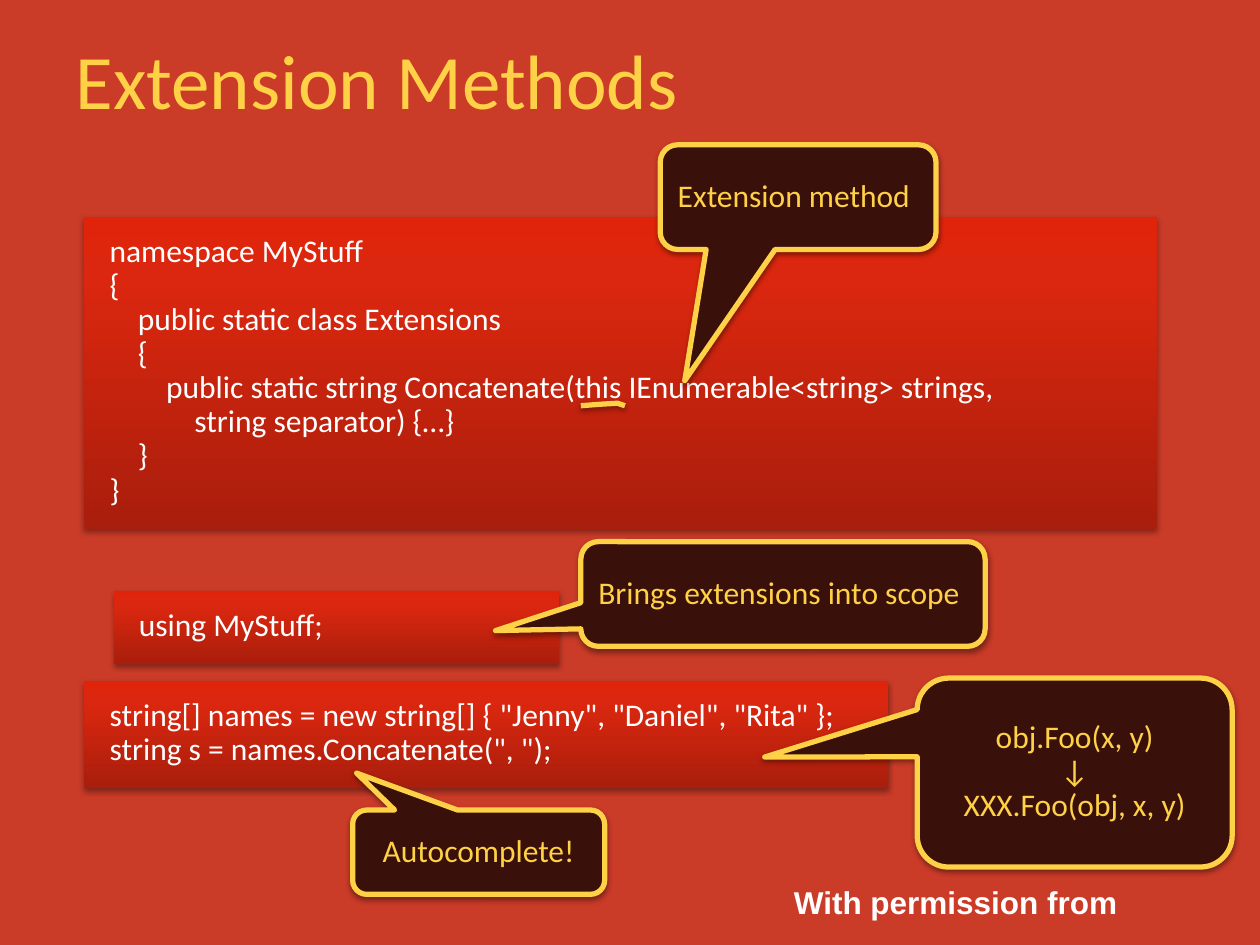
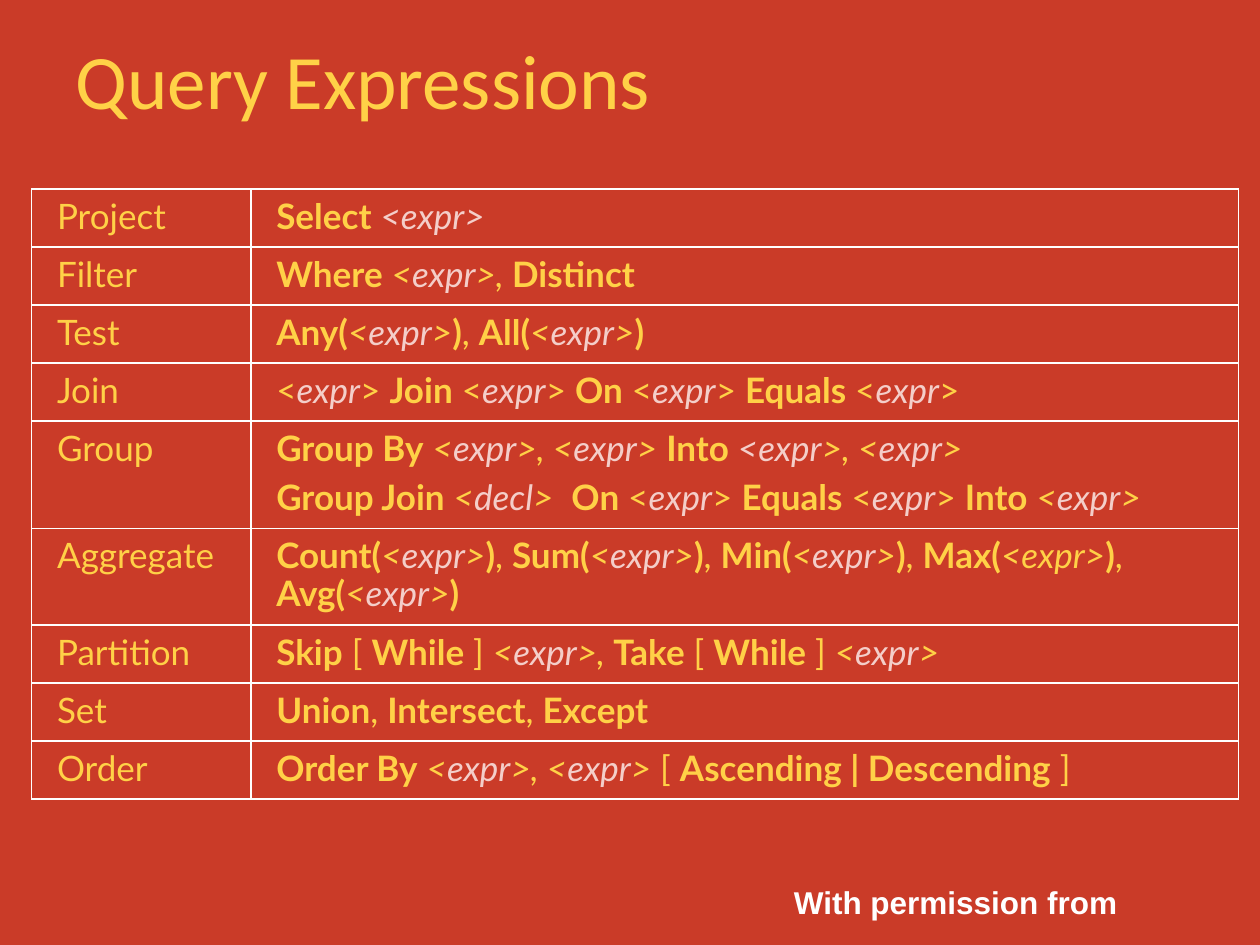
from copy import deepcopy
from itertools import groupby

from lxml import etree
from pptx import Presentation
from pptx.dml.color import RGBColor
from pptx.enum.shapes import MSO_SHAPE
from pptx.enum.text import MSO_ANCHOR, PP_ALIGN
from pptx.oxml.ns import qn
from pptx.util import Cm, Pt

RECTANGLE, CALLOUT = MSO_SHAPE.RECTANGLE, MSO_SHAPE.ROUNDED_RECTANGULAR_CALLOUT
LEFT, CENTER = PP_ALIGN.LEFT, PP_ALIGN.CENTER
TOP, MIDDLE = MSO_ANCHOR.TOP, MSO_ANCHOR.MIDDLE

RED = RGBColor(0xCA, 0x3B, 0x28)
YELLOW = RGBColor(0xFF, 0xD1, 0x47)
PALE = RGBColor(0xF4, 0xCE, 0xC9)
WHITE = RGBColor(0xFF, 0xFF, 0xFF)
BROWN = RGBColor(0x3A, 0x10, 0x0B)
PANEL_STOPS = [
    (0, RGBColor(0xA9, 0x1E, 0x0C)),
    (0.8, RGBColor(0xDB, 0x27, 0x0F)),
    (1, RGBColor(0xE0, 0x24, 0x0B)),
]
CODE_INDENT = Cm(0.57)


def write(frame, text, font="Calibri", size=18, color=YELLOW, bold=False,
          align=LEFT, anchor=TOP, spacing=0.9, before=0, after=0):
    """Fill a frame; * toggles bold, _ italic, ~ the pale colour.

    Every four leading spaces of a line become one indent step.
    """
    frame.word_wrap = True
    frame.vertical_anchor = anchor
    for index, line in enumerate(text.split("\n")):
        paragraph = frame.paragraphs[0] if index == 0 else frame.add_paragraph()
        paragraph.alignment = align
        paragraph.line_spacing = spacing
        paragraph.space_before = Pt(before if index else 0)
        paragraph.space_after = Pt(after)
        content = line.lstrip()
        level = (len(line) - len(content)) // 4
        properties = paragraph._p.get_or_add_pPr()
        properties.set("marL", str(level * CODE_INDENT))
        properties.set("indent", "0")

        active, styled = frozenset(), []
        for char in content:
            if char in "*_~":
                active ^= {char}
            else:
                styled.append((active, char))
        for style, pairs in groupby(styled, key=lambda pair: pair[0]):
            run = paragraph.add_run()
            run.text = "".join(char for _, char in pairs)
            run.font.name, run.font.size = font, Pt(size)
            run.font.bold = bold or "*" in style
            run.font.italic = "_" in style
            run.font.color.rgb = PALE if "~" in style else color


def add_shadow(shape, distance, opacity):
    """Give a shape a soft shadow straight below it."""
    shape.shadow.inherit = False
    effects = shape.element.spPr.find(qn("a:effectLst"))
    shadow = etree.SubElement(effects, qn("a:outerShdw"), blurRad=str(Pt(3.1)),
                              dist=str(Pt(distance)), dir="5400000", rotWithShape="0")
    tint = etree.SubElement(shadow, qn("a:srgbClr"), val="000000")
    etree.SubElement(tint, qn("a:alpha"), val=str(opacity * 1000))


prs = Presentation()
prs.slide_width, prs.slide_height = Cm(25.4), Cm(19.05)

# Shared background, titles and credit line
layout = prs.slide_layouts[5]
layout.background.fill.solid()
layout.background.fill.fore_color.rgb = RED

slides = []
for heading in ("Extension Methods", "Query Expressions"):
    slide = prs.slides.add_slide(layout)
    title = slide.shapes.title
    title.left, title.top, title.width, title.height = Cm(1.27), Cm(0), Cm(19.69), Cm(3.18)
    write(title.text_frame, heading, size=44, anchor=MIDDLE, spacing=1.0)
    slides.append(slide)
methods, queries = slides

credit = methods.shapes.add_textbox(Cm(15.67), Cm(17.55), Cm(7.19), Cm(1.07))
write(credit.text_frame, "With permission from", font="Arial", color=WHITE, bold=True,
      align=CENTER, spacing=Pt(25), after=10)
credit.element.nvSpPr.cNvPr.set("id", "20")
layout.shapes.element.append(credit.element)

# Slide 1: code panels
EXTENSION_CODE = """namespace MyStuff
{
    public static class Extensions
    {
        public static string Concatenate(this IEnumerable<string> strings,
            string separator) {…}
    }
}"""
CALL_CODE = """string[] names = new string[] { "Jenny", "Daniel", "Rita" };
string s = names.Concatenate(", ");"""

code_panels = [
    (1.7, 4.37, 21.62, 6.3, EXTENSION_CODE),
    (2.29, 11.91, 8.99, 1.47, "using MyStuff;"),
    (1.7, 13.72, 16.21, 2.16, CALL_CODE),
]
for left, top, width, height, code in code_panels:
    panel = methods.shapes.add_shape(RECTANGLE, Cm(left), Cm(top), Cm(width), Cm(height))
    panel.line.fill.background()
    panel.fill.gradient()
    panel.fill.gradient_angle = 90
    stop_list = panel.element.spPr.find(qn("a:gradFill")).find(qn("a:gsLst"))
    stop_list.append(deepcopy(stop_list[0]))
    for stop, (position, color) in zip(panel.fill.gradient_stops, PANEL_STOPS):
        stop.position = position
        stop.color.rgb = color
    add_shadow(panel, distance=1.8, opacity=35)
    frame = panel.text_frame
    frame.margin_left = frame.margin_right = Cm(0.51)
    frame.margin_top = frame.margin_bottom = Cm(0.38)
    write(frame, code, color=WHITE)

# Slide 1: stroke under "this", then the callouts
stroke = methods.shapes.build_freeform(Cm(11.71), Cm(8.18))
stroke.add_line_segments(
    [(Cm(x), Cm(y)) for x, y in ((12.1, 8.15), (12.45, 8.13), (12.6, 8.18))], close=False)
highlights = [stroke.convert_to_shape()]

callouts = [
    (13.31, 2.92, 5.56, 2.11, (-0.411, 1.754), LEFT, "Extension method"),
    (11.71, 10.92, 8.15, 2.11, (-0.711, 0.35), LEFT, "Brings extensions into scope"),
    (18.49, 13.67, 6.35, 3.81, (-0.984, -0.082), CENTER,
     "obj.Foo(x, y)\n↓\nXXX.Foo(obj, x, y)"),
    (7.11, 16.33, 5.08, 1.7, (-0.484, -0.938), CENTER, "Autocomplete!"),
]
for left, top, width, height, tip, align, remark in callouts:
    callout = methods.shapes.add_shape(CALLOUT, Cm(left), Cm(top), Cm(width), Cm(height))
    callout.adjustments[0], callout.adjustments[1] = tip
    write(callout.text_frame, remark, align=align, anchor=MIDDLE)
    highlights.append(callout)

for highlight in highlights:
    highlight.fill.solid()
    highlight.fill.fore_color.rgb = BROWN
    highlight.line.color.rgb = YELLOW
    highlight.line.width = Pt(3)
    add_shadow(highlight, distance=1.6, opacity=38)

# Slide 2: table of query operators
EXPR = "_<~expr~>_"
UPRIGHT = "<_~expr~_>"
ROW = 1.17
operators = [
    ("Project", ROW, "*Select* _~<expr>~_"),
    ("Filter", ROW, f"*Where* {EXPR}_, _*Distinct*"),
    ("Test", ROW, f"*Any(*{EXPR}*)*, *All(*{EXPR}*)*"),
    ("Join", ROW, f"{UPRIGHT} *Join* {UPRIGHT} *On* {UPRIGHT} *Equals* {UPRIGHT}"),
    ("Group", 2.16,
     f"*Group By* {EXPR}_, _{EXPR} *Into* _~<expr~>, _{EXPR}\n"
     f"*Group Join* _<~decl~>_  *On* {UPRIGHT} *Equals* {UPRIGHT} *Into* {EXPR}"),
    ("Aggregate", 1.95,
     f"*Count(*{EXPR}*)*, *Sum(*{EXPR}*)*, *Min(*{EXPR}*)*, *Max(*_<expr>_*)*, "
     f"*Avg(*{EXPR}*)*"),
    ("Partition", ROW, f"*Skip* [ *While* ] {EXPR}_, _*Take* [ *While* ] {EXPR}"),
    ("Set", ROW, "*Union*, *Intersect*, *Except*"),
    ("Order", ROW, f"*Order By* {EXPR}_, _{EXPR} [ *Ascending | Descending* ]"),
]
column_widths = (4.42, 19.91)
table = queries.shapes.add_table(
    len(operators), 2, Cm(0.64), Cm(3.81), Cm(sum(column_widths)),
    Cm(sum(height for _, height, _ in operators))).table
table.first_row = table.horz_banding = False
for column, width in zip(table.columns, column_widths):
    column.width = Cm(width)

for row, (category, height, syntax) in zip(table.rows, operators):
    row.height = Cm(height)
    for cell, text in zip(row.cells, (category, syntax)):
        cell.margin_left = cell.margin_right = Cm(0.51)
        cell.margin_top = cell.margin_bottom = Cm(0.2)
        write(cell.text_frame, text, font="Lato", size=20, before=6)
        properties = cell._tc.get_or_add_tcPr()
        for side in ("a:lnL", "a:lnR", "a:lnT", "a:lnB"):
            border = etree.SubElement(properties, qn(side), w=str(Pt(1)))
            paint = etree.SubElement(border, qn("a:solidFill"))
            etree.SubElement(paint, qn("a:srgbClr"), val=str(WHITE))
        cell.fill.background()

prs.save("out.pptx")
